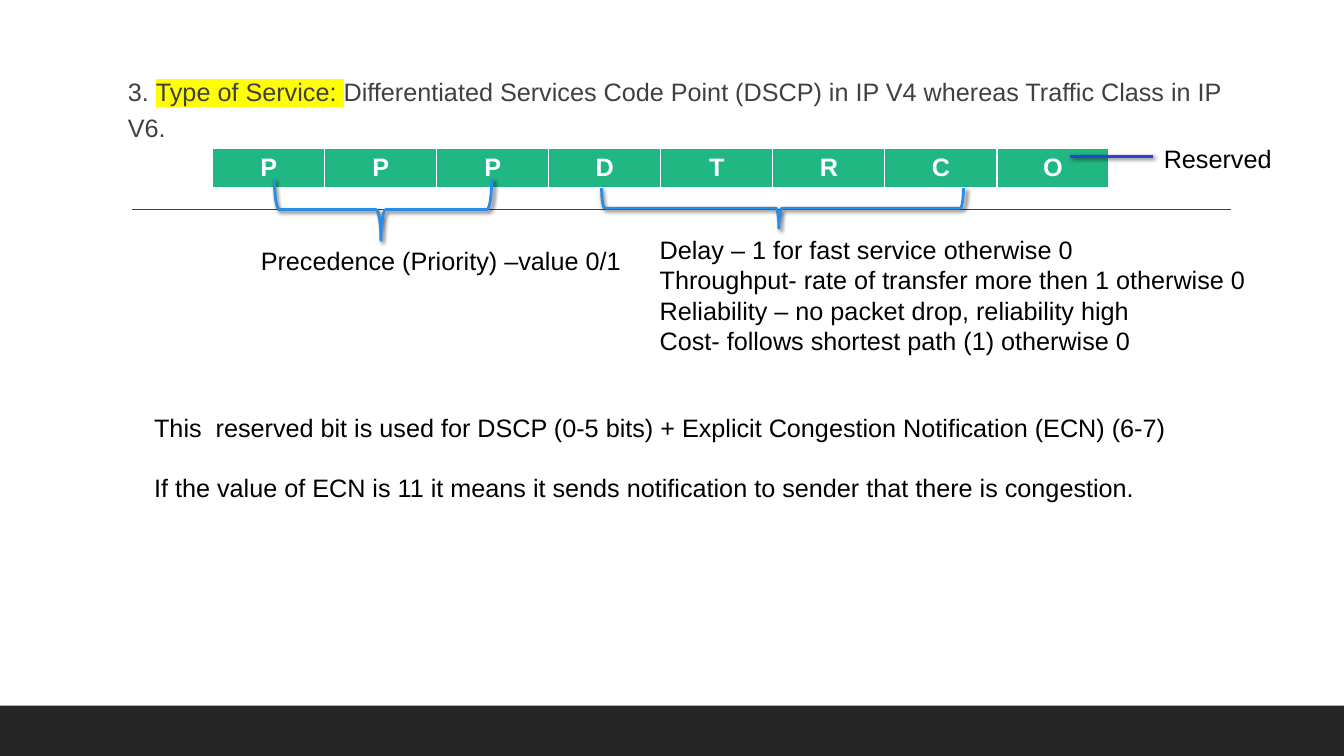
from dataclasses import dataclass

from lxml import etree
from pptx import Presentation
from pptx.dml.color import RGBColor
from pptx.enum.shapes import MSO_CONNECTOR, MSO_SHAPE
from pptx.enum.text import MSO_AUTO_SIZE, PP_ALIGN
from pptx.oxml.ns import qn
from pptx.util import Inches, Pt

STRAIGHT = MSO_CONNECTOR.STRAIGHT
RECTANGLE, RIGHT_BRACE = MSO_SHAPE.RECTANGLE, MSO_SHAPE.RIGHT_BRACE
CENTER, LEFT = PP_ALIGN.CENTER, PP_ALIGN.LEFT
GROW = MSO_AUTO_SIZE.SHAPE_TO_FIT_TEXT

WHITE = RGBColor(0xFF, 0xFF, 0xFF)
BLACK = RGBColor(0, 0, 0)
CHARCOAL = RGBColor(0x26, 0x26, 0x26)
GRAY = RGBColor(0x40, 0x40, 0x40)
GREEN = RGBColor(0x21, 0xB7, 0x82)
BLUE = RGBColor(0x29, 0x8C, 0xE7)
INDIGO = RGBColor(0x2E, 0x40, 0xD9)
YELLOW = RGBColor(0xFF, 0xFF, 0x00)

FONT = "Arial"
BITS = "PPPDTRCO"
HEADING = [
    ("3. ", None),
    ("Type of Service: ", YELLOW),
    ("Differentiated Services Code Point (DSCP) in IP V4 whereas Traffic Class in IP V6.", None),
]
PRECEDENCE = ["Precedence (Priority) –value 0/1"]
SERVICE_BITS = [
    "Delay – 1 for fast service otherwise 0",
    "Throughput- rate of transfer more then 1 otherwise 0",
    "Reliability – no packet drop, reliability high",
    "Cost- follows shortest path (1) otherwise 0",
]
NOTES = [
    "This  reserved bit is used for DSCP (0-5 bits) + Explicit Congestion Notification (ECN) (6-7)",
    "If the value of ECN is 11 it means it sends notification to sender that there is congestion.",
]


@dataclass
class Box:
    """A rectangle on the slide that can be split into a grid."""

    left: int
    top: int
    width: int
    height: int

    def area(self, left, top, width, height, columns=100, rows=100):
        """Return a box measured in columns and rows of this one."""
        column, row = self.width / columns, self.height / rows
        return Box(int(self.left + left * column), int(self.top + top * row),
                   int(width * column), int(height * row))

    def bounds(self):
        """Return left, top, width and height."""
        return self.left, self.top, self.width, self.height


def add_run(paragraph, text, color=BLACK, size=18, bold=False, highlight=None):
    """Add formatted text to a paragraph."""
    run = paragraph.add_run()
    run.text = text
    font = run.font
    font.size, font.bold, font.name = Pt(size), bold, FONT
    font.color.rgb = color
    if highlight is not None:
        mark = etree.Element(qn("a:highlight"))
        etree.SubElement(mark, qn("a:srgbClr"), val=str(highlight))
        run._r.rPr.find(qn("a:solidFill")).addnext(mark)


def add_text(slide, box, lines, wrap=False, gap=0):
    """Add a text box with one paragraph for each line."""
    frame = slide.shapes.add_textbox(*box.bounds()).text_frame
    frame.word_wrap = wrap
    frame.auto_size = GROW
    for index, line in enumerate(lines):
        paragraph = frame.add_paragraph() if index else frame.paragraphs[0]
        paragraph.alignment = LEFT
        if index:
            paragraph.space_before = Pt(gap)
        add_run(paragraph, line)


def set_effects(shape, shadow=False):
    """Replace the theme's effects with none or a soft shadow."""
    effects = etree.SubElement(shape._element.spPr, qn("a:effectLst"))
    if shadow:
        outer = etree.SubElement(effects, qn("a:outerShdw"), blurRad=str(int(Pt(3))),
                                 dist=str(int(Pt(2))), dir="2700000", rotWithShape="0")
        color = etree.SubElement(outer, qn("a:srgbClr"), val=str(BLACK))
        etree.SubElement(color, qn("a:alpha"), val="60000")


def add_line(slide, box, color, width, shadow=False):
    """Draw a horizontal line along the top of a box."""
    line = slide.shapes.add_connector(
        STRAIGHT, box.left, box.top, box.left + box.width, box.top)
    line.line.color.rgb = color
    line.line.width = Pt(width)
    set_effects(line, shadow)


def add_brace(slide, box):
    """Draw a brace that points down and fills a box."""
    left = box.left + (box.width - box.height) // 2
    top = box.top + (box.height - box.width) // 2
    brace = slide.shapes.add_shape(RIGHT_BRACE, left, top, box.height, box.width)
    brace.rotation = 90
    brace.adjustments[0], brace.adjustments[1] = 0.08, 0.51
    brace.fill.background()
    brace.line.color.rgb = BLUE
    brace.line.width = Pt(2)
    set_effects(brace, shadow=True)


def add_backdrop(slide, box):
    """Draw the footer band and the horizontal rule."""
    band = slide.shapes.add_shape(RECTANGLE, *box.area(0, 93.33, 100, 6.67).bounds())
    band.fill.solid()
    band.fill.fore_color.rgb = CHARCOAL
    band.line.fill.background()
    set_effects(band)
    add_line(slide, box.area(9.83, 27.73, 81.77, 0), GRAY, 1)


def add_heading(slide, box):
    """Write the heading with its highlighted term."""
    frame = slide.shapes.add_textbox(*box.bounds()).text_frame
    frame.word_wrap = True
    frame.margin_left, frame.margin_right = Inches(0.1), 0
    paragraph = frame.paragraphs[0]
    paragraph.line_spacing = 1.2
    paragraph.space_before, paragraph.space_after = Pt(12), Pt(2)
    for text, highlight in HEADING:
        add_run(paragraph, text, color=GRAY, highlight=highlight)


def set_borders(cell):
    """Give a cell white borders with a thicker bottom edge."""
    properties = cell._tc.get_or_add_tcPr()
    for index, (side, width) in enumerate([("L", 1), ("R", 1), ("T", 1), ("B", 3)]):
        border = etree.Element(qn(f"a:ln{side}"), w=str(int(Pt(width))))
        fill = etree.SubElement(border, qn("a:solidFill"))
        etree.SubElement(fill, qn("a:srgbClr"), val=str(WHITE))
        properties.insert(index, border)


def add_bit_table(slide, box):
    """Show the bits of the service field as a row of cells."""
    table = slide.shapes.add_table(1, len(BITS), *box.bounds()).table
    for cell, bit in zip(table.rows[0].cells, BITS):
        cell.fill.solid()
        cell.fill.fore_color.rgb = GREEN
        set_borders(cell)
        paragraph = cell.text_frame.paragraphs[0]
        paragraph.alignment = CENTER
        add_run(paragraph, bit, color=WHITE, bold=True)


def add_bit_field(slide, box):
    """Place the bit table and its callouts, measured in cells."""

    def cells(left, top, width, height):
        """Return a box measured in cells of the table."""
        return box.area(left, top, width, height, columns=len(BITS), rows=1)

    add_bit_table(slide, box)
    add_brace(slide, cells(0.55, 0.76, 1.94, 1.53))
    add_text(slide, cells(0.34, 2.28, 3.43, 1), PRECEDENCE)
    add_brace(slide, cells(3.47, 0.99, 3.23, 1))
    add_text(slide, cells(3.9, 2.02, 5.45, 3.28), SERVICE_BITS)
    add_line(slide, cells(7.65, 0.2, 0.74, 0), INDIGO, 2, shadow=True)
    add_text(slide, cells(8.4, -0.25, 1.14, 1), ["Reserved"], wrap=True)


def main():
    """Build and save the slide."""
    presentation = Presentation()
    presentation.slide_width, presentation.slide_height = Inches(13.33), Inches(7.5)
    slide = presentation.slides.add_slide(presentation.slide_layouts[6])
    page = Box(0, 0, presentation.slide_width, presentation.slide_height)
    add_backdrop(slide, page)
    add_heading(slide, page.area(8.78, 8.67, 82.52, 77.47))
    add_bit_field(slide, page.area(15.83, 19.6, 66.69, 5.33))
    add_text(slide, page.area(10.73, 53.87, 77.49, 13.47), NOTES, gap=21.5)
    presentation.save("out.pptx")


if __name__ == "__main__":
    main()
